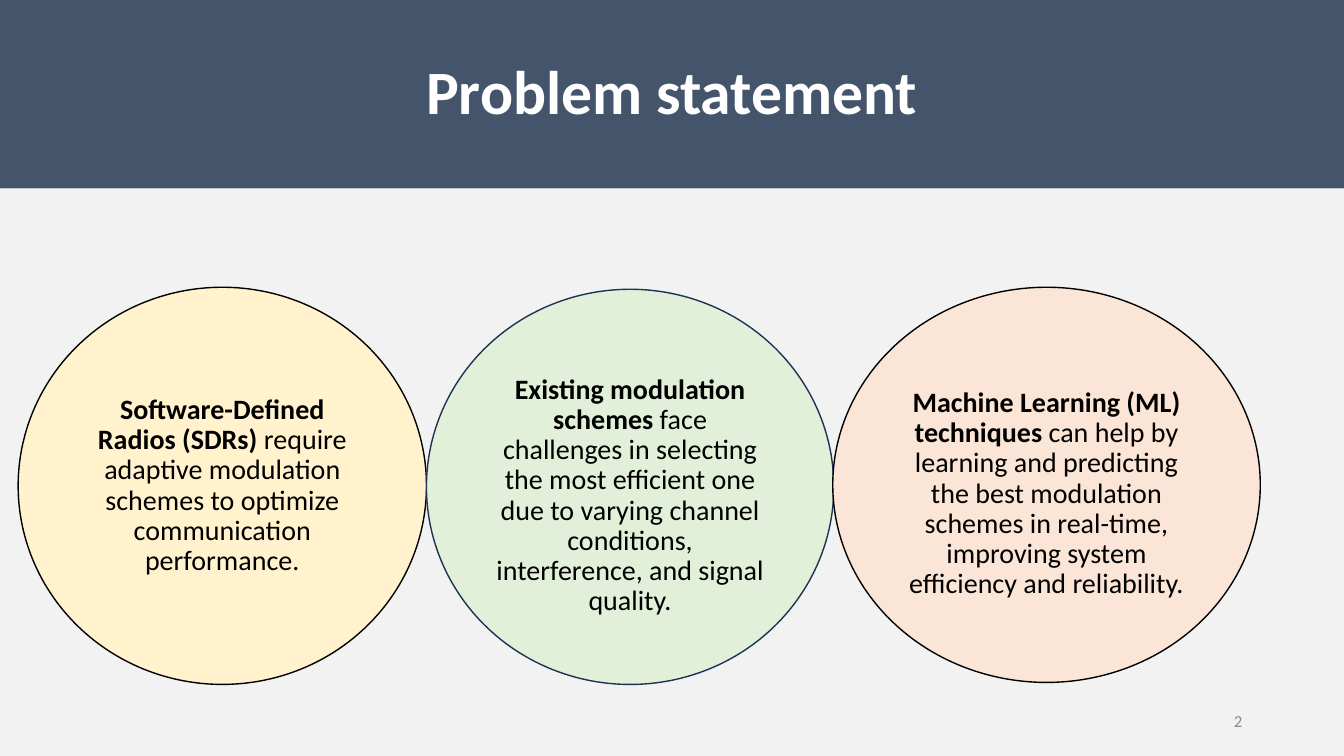
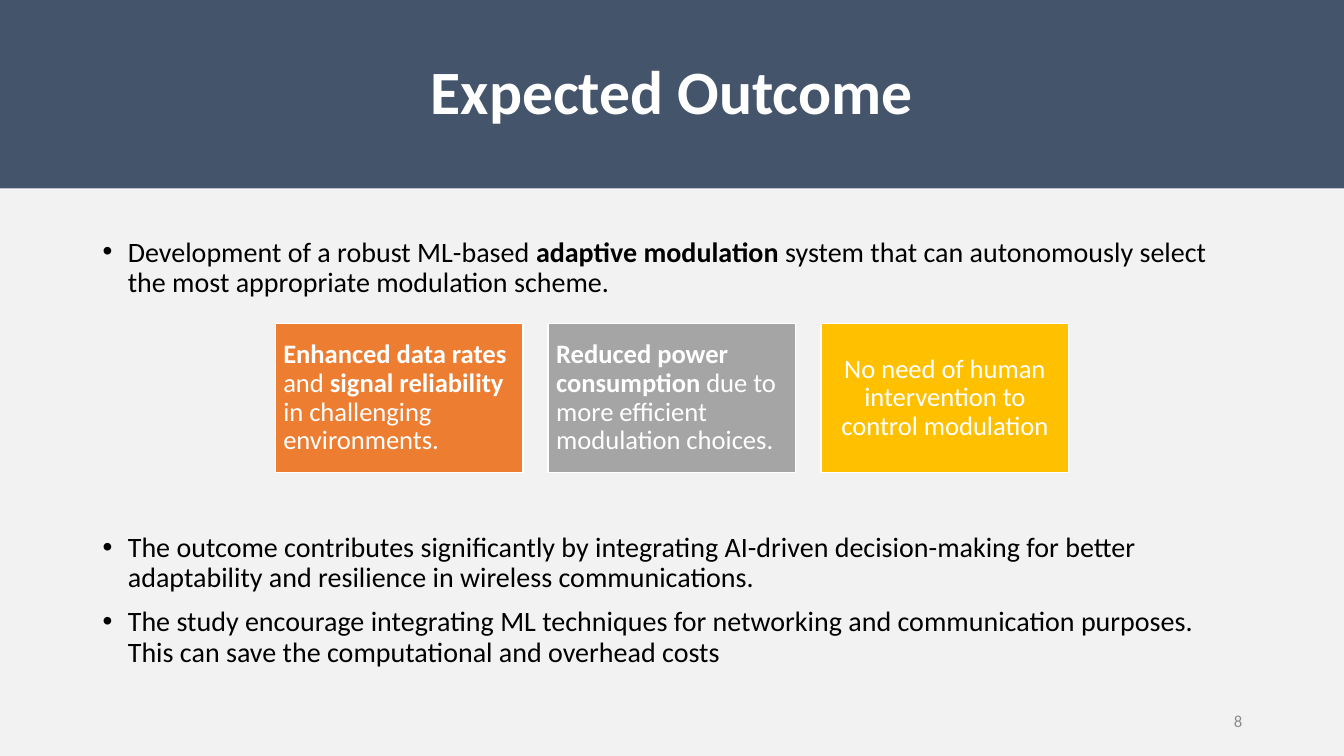
import dataclasses

import lxml.etree
import pptx
import pptx.dml.color
import pptx.enum.shapes
import pptx.enum.text
import pptx.oxml.ns
import pptx.util

Inches = pptx.util.Inches
Pt = pptx.util.Pt
Shape = pptx.enum.shapes.MSO_SHAPE
Align = pptx.enum.text.PP_ALIGN
Anchor = pptx.enum.text.MSO_ANCHOR


@dataclasses.dataclass(frozen=True)
class Theme:
    font: str = "Calibri"
    band: str = "44546A"
    panel: str = "F2F2F2"
    light: str = "FFFFFF"
    dark: str = "000000"
    navy: str = "1E3256"
    muted: str = "8C8C8C"
    cream: str = "FFF2CC"
    mint: str = "E2F0D9"
    peach: str = "FBE5D6"
    orange: str = "ED7D31"
    gray: str = "A5A5A5"
    gold: str = "FFC000"
    title_size: int = 44
    body_size: int = 20
    card_size: int = 19
    number_size: int = 12


THEME = Theme()
WIDTH, HEIGHT = 13.33, 7.5
BAND_HEIGHT = 1.87
PANEL_TOP = 1.88


def rgb(color):
    return pptx.dml.color.RGBColor.from_string(color)


def write(para, spans, size, color, align=Align.LEFT, spacing=0.9):
    """Fill a paragraph with (text, bold) spans in one shared style."""
    para.alignment = align
    para.line_spacing = spacing
    para.font.name = THEME.font
    para.font.size = Pt(size)
    para.font.color.rgb = rgb(color)
    for text, bold in spans:
        span = para.add_run()
        span.text = text
        span.font.bold = bold


def add_filled(page, kind, box, fill, line=None):
    shape = page.shapes.add_shape(kind, *map(Inches, box))
    shape.shadow.inherit = False
    shape.fill.solid()
    shape.fill.fore_color.rgb = rgb(fill)
    if line:
        shape.line.color.rgb = rgb(line)
        shape.line.width = Pt(1)
    else:
        shape.line.fill.background()
    frame = shape.text_frame
    frame.word_wrap = True
    frame.vertical_anchor = Anchor.MIDDLE
    return shape


def add_text_box(page, box):
    frame = page.shapes.add_textbox(*map(Inches, box)).text_frame
    frame.word_wrap = True
    return frame


def add_page(deck, heading, number):
    """Shared frame: title band, light panel and page number."""
    page = deck.slides.add_slide(deck.slide_layouts[5])
    add_filled(page, Shape.RECTANGLE,
               (0, PANEL_TOP, WIDTH, HEIGHT - PANEL_TOP), THEME.panel)

    # Title band
    title = page.shapes.title
    title.left, title.top = Inches(0), Inches(0)
    title.width, title.height = Inches(WIDTH), Inches(BAND_HEIGHT)
    title.fill.solid()
    title.fill.fore_color.rgb = rgb(THEME.band)
    title.text_frame.vertical_anchor = Anchor.MIDDLE
    write(title.text_frame.paragraphs[0], [(heading, True)],
          THEME.title_size, THEME.light, Align.CENTER)

    # Page number
    frame = add_text_box(page, (9.42, 6.95, 3, 0.4))
    frame.vertical_anchor = Anchor.MIDDLE
    write(frame.paragraphs[0], [(str(number), False)],
          THEME.number_size, THEME.muted, Align.RIGHT, 1.0)
    return page


def add_circle(page, box, fill, line, spans, top_inset=0.05):
    circle = add_filled(page, Shape.OVAL, box, fill, line)
    circle.text_frame.margin_top = Inches(top_inset)
    write(circle.text_frame.paragraphs[0], spans,
          THEME.body_size, THEME.dark, Align.CENTER)


def add_bullets(page, box, items):
    frame = add_text_box(page, box)
    for index, spans in enumerate(items):
        para = frame.add_paragraph() if index else frame.paragraphs[0]
        write(para, spans, THEME.body_size, THEME.dark)
        para.space_before = Pt(10)
        # Hanging bullet
        props = para._p.get_or_add_pPr()
        props.set("marL", str(Inches(0.25)))
        props.set("indent", str(Inches(-0.25)))
        font = pptx.oxml.ns.qn("a:buFont")
        char = pptx.oxml.ns.qn("a:buChar")
        marks = [lxml.etree.Element(font, typeface="Arial"),
                 lxml.etree.Element(char, char="•")]
        default_font = props.find(pptx.oxml.ns.qn("a:defRPr"))
        for mark in marks:
            default_font.addprevious(mark)


def add_cards(page, box, cards, gap=0.25):
    """Equal cards in a row across the given box."""
    left, top, width, height = box
    card_width = (width - gap * (len(cards) - 1)) / len(cards)
    for index, (fill, align, spans) in enumerate(cards):
        place = (left + index * (card_width + gap), top, card_width, height)
        card = add_filled(page, Shape.RECTANGLE, place, fill, THEME.light)
        frame = card.text_frame
        frame.margin_left = frame.margin_right = Inches(0.08)
        frame.margin_top = frame.margin_bottom = Inches(0.08)
        write(frame.paragraphs[0], spans, THEME.card_size, THEME.light, align)


def build_problem(deck):
    page = add_page(deck, "Problem statement", 2)
    add_circle(page, (0.18, 2.85, 4.05, 3.94), THEME.cream, THEME.dark, [
        ("Software-Defined Radios (SDRs)", True),
        (" require adaptive modulation schemes to optimize communication "
         "performance.", False)])
    add_circle(page, (4.23, 2.87, 4.04, 3.92), THEME.mint, THEME.navy, [
        ("Existing modulation schemes", True),
        (" face challenges in selecting the most efficient one due to varying "
         "channel conditions, interference, and signal quality.", False)],
        top_inset=0.23)
    add_circle(page, (8.26, 2.85, 4.24, 3.92), THEME.peach, THEME.dark, [
        ("Machine Learning (ML) techniques", True),
        (" can help by learning and predicting the best modulation schemes in "
         "real-time, improving system efficiency and reliability.", False)],
        top_inset=0.23)


def build_outcome(deck):
    page = add_page(deck, "Expected Outcome", 8)
    add_bullets(page, (0.92, 2.31, 11.5, 0.75), [
        [("Development of a robust ML-based ", False),
         ("adaptive modulation ", True),
         ("system that can autonomously select the most appropriate "
          "modulation scheme.", False)]])
    add_cards(page, (2.73, 3.21, 7.87, 1.48), [
        (THEME.orange, Align.LEFT, [
            ("Enhanced data rates ", True), ("and ", False),
            ("signal reliability", True),
            (" in challenging environments.", False)]),
        (THEME.gray, Align.LEFT, [
            ("Reduced power consumption", True),
            (" due to more efficient modulation choices.", False)]),
        (THEME.gold, Align.CENTER, [
            ("No need of human intervention to control modulation", False)])])
    add_bullets(page, (0.92, 5.24, 11.5, 1.5), [
        [("The outcome contributes significantly by integrating AI-driven "
          "decision-making for better adaptability and resilience in wireless "
          "communications.", False)],
        [("The study encourage integrating ML techniques for networking and "
          "communication purposes. This can save the computational and "
          "overhead costs", False)]])


def main():
    deck = pptx.Presentation()
    deck.slide_width, deck.slide_height = Inches(WIDTH), Inches(HEIGHT)
    build_problem(deck)
    build_outcome(deck)
    deck.save("out.pptx")


if __name__ == "__main__":
    main()
